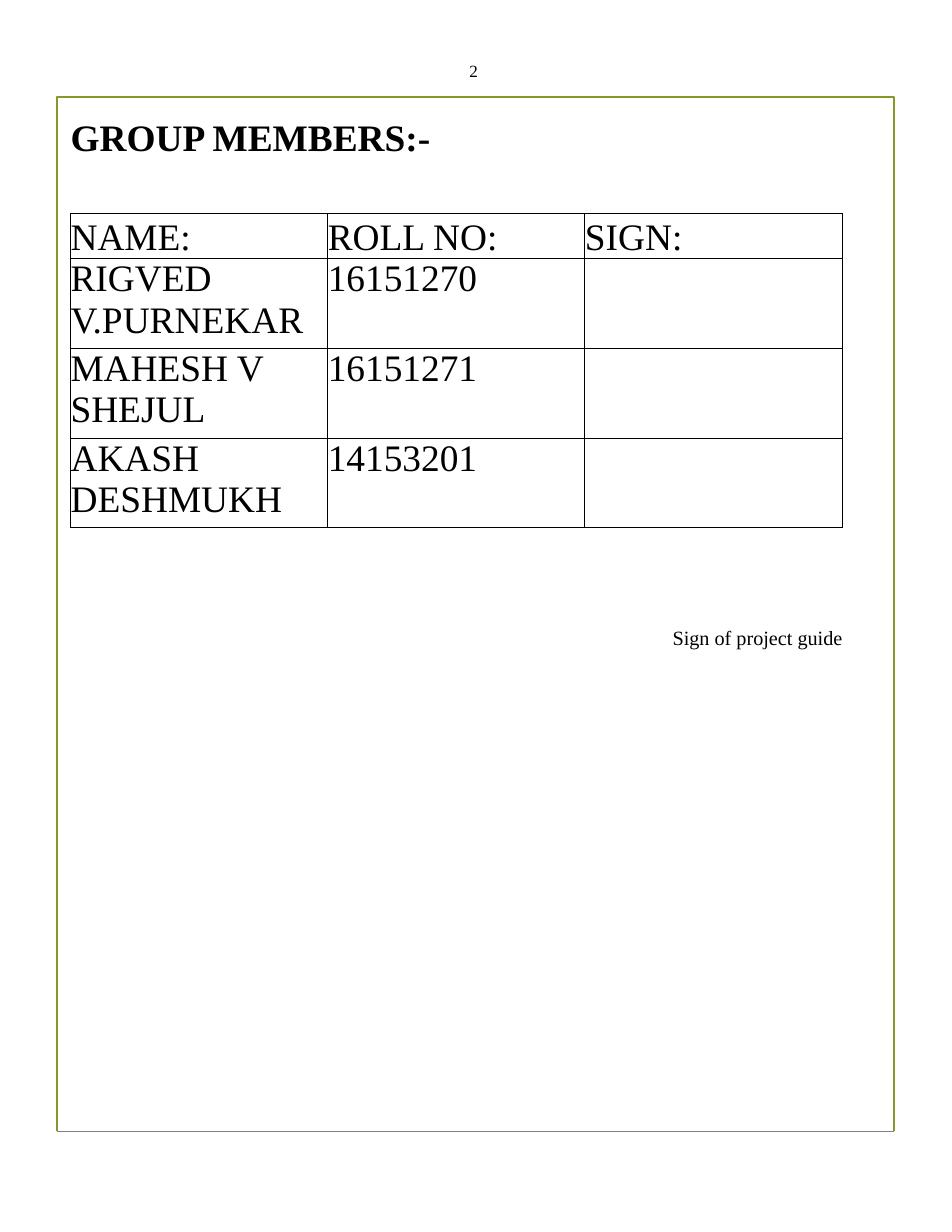
from lxml.etree import SubElement
from pptx import Presentation
from pptx.dml.color import RGBColor
from pptx.enum.text import MSO_ANCHOR, PP_ALIGN
from pptx.oxml.ns import qn
from pptx.util import Inches, Pt

BLACK = RGBColor(0x00, 0x00, 0x00)
OLIVE = RGBColor(0x83, 0x99, 0x2A)
GREY = RGBColor(0x80, 0x80, 0x80)
FONT = "Times New Roman"

MEMBERS = [
    ("NAME:", "ROLL NO:", "SIGN:"),
    ("RIGVED V.PURNEKAR", "16151270", ""),
    ("MAHESH V SHEJUL", "16151271", ""),
    ("AKASH DESHMUKH", "14153201", ""),
]
LINE_HEIGHT = 0.37


def write(tf, text, size=24, bold=False, align=PP_ALIGN.LEFT, wrap=True):
    tf.margin_left = tf.margin_right = tf.margin_top = tf.margin_bottom = 0
    tf.word_wrap = wrap
    tf.vertical_anchor = MSO_ANCHOR.TOP
    p = tf.paragraphs[0]
    p.alignment = align
    r = p.add_run()
    r.text = text
    r.font.name = FONT
    r.font.size = Pt(size)
    r.font.bold = bold
    r.font.color.rgb = BLACK


def add_label(s, box, text, **fmt):
    write(s.shapes.add_textbox(*map(Inches, box)).text_frame, text, **fmt)


def add_frame(s, box):
    """Olive border on three sides, thin grey rule at the bottom."""
    x, y, w, h = box
    right, bottom = x + w, y + h
    fb = s.shapes.build_freeform(Inches(x), Inches(bottom))
    fb.add_line_segments(
        [(Inches(a), Inches(b)) for a, b in ((x, y), (right, y), (right, bottom))],
        close=False)
    border = fb.convert_to_shape()
    border.shadow.inherit = False
    border.fill.background()
    border.line.color.rgb = OLIVE
    border.line.width = Pt(1.25)
    rule = s.shapes.add_connector(1, *map(Inches, (x, bottom, right, bottom)))
    rule.line.color.rgb = GREY
    rule.line.width = Pt(0.5)
    SubElement(rule._element.spPr, qn("a:effectLst"))


def add_title(s, box, text):
    title = s.shapes.title
    title.left, title.top, title.width, title.height = map(Inches, box)
    write(title.text_frame, text, bold=True)


def add_cell_borders(cell):
    tcPr = cell._tc.get_or_add_tcPr()
    for i, side in enumerate(("lnL", "lnR", "lnT", "lnB")):
        ln = SubElement(tcPr, qn(f"a:{side}"), w=str(Pt(0.75)))
        tcPr.insert(i, ln)
        fill = SubElement(ln, qn("a:solidFill"))
        SubElement(fill, qn("a:srgbClr"), val=str(BLACK))


def add_members(s, box, rows):
    """Members table: one-line header, two-line rows."""
    table = s.shapes.add_table(len(rows), len(rows[0]), *map(Inches, box)).table
    table.first_row = table.horz_banding = False
    for col in table.columns:
        col.width = Inches(box[2] / len(rows[0]))
    for i, values in enumerate(rows):
        table.rows[i].height = Inches(LINE_HEIGHT * (2 if i else 1))
        for j, text in enumerate(values):
            cell = table.cell(i, j)
            cell.fill.background()
            cell.margin_left = cell.margin_right = 0
            cell.margin_top = cell.margin_bottom = 0
            cell.vertical_anchor = MSO_ANCHOR.TOP if i else MSO_ANCHOR.BOTTOM
            add_cell_borders(cell)
            if text:
                p = cell.text_frame.paragraphs[0]
                r = p.add_run()
                r.text = text
                r.font.name, r.font.size = FONT, Pt(24)
                r.font.bold = False
                r.font.color.rgb = BLACK


def main():
    prs = Presentation()
    prs.slide_width, prs.slide_height = Inches(8.5), Inches(11)
    s = prs.slides.add_slide(prs.slide_layouts[5])
    left, width = 0.63, 6.89

    add_frame(s, (0.51, 0.87, 7.47, 9.23))
    # Page number
    add_label(s, (4.19, 0.54, 0.11, 0.15), "2", size=11, wrap=False)
    add_title(s, (left, 1.02, 4, LINE_HEIGHT), "GROUP MEMBERS:-")
    add_members(s, (left, 1.91, width, 7 * LINE_HEIGHT), MEMBERS)
    # Signature line
    add_label(s, (left + width - 2, 5.58, 2, 0.22), "Sign of project guide",
              size=13, align=PP_ALIGN.RIGHT)
    prs.save("out.pptx")


if __name__ == "__main__":
    main()
